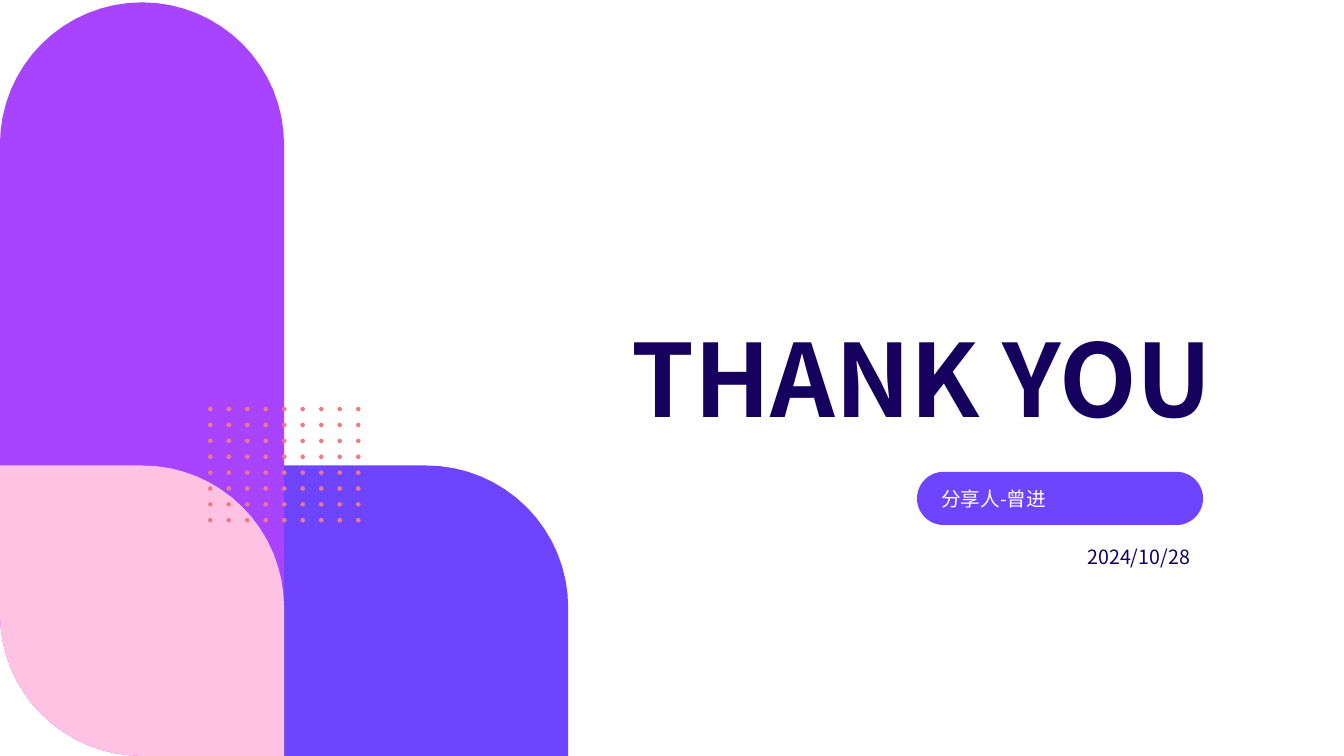
from dataclasses import dataclass
from math import cos, pi, sin

from lxml.etree import SubElement
from pptx import Presentation
from pptx.dml.color import RGBColor
from pptx.enum.shapes import MSO_SHAPE
from pptx.enum.text import MSO_ANCHOR, PP_ALIGN
from pptx.oxml.ns import qn
from pptx.util import Cm, Pt


@dataclass(frozen=True)
class Theme:
    font: str = "Noto Sans CJK SC"
    purple: str = "A844FF"
    blue: str = "6E44FF"
    pink: str = "FFC2E2"
    coral: str = "EF7A85"
    navy: str = "15005E"
    white: str = "FFFFFF"
    title: int = 72
    body: int = 14


def arc(cx, cy, radius, start, step, count):
    angles = [start + step * i for i in range(count)]
    return [(cx + radius * cos(a), cy + radius * sin(a)) for a in angles]


class SlideBuilder:
    def __init__(self, s, theme):
        self.s = s
        self.theme = theme

    def paint(self, sp, color):
        sp.shadow.inherit = False
        sp.fill.solid()
        sp.fill.fore_color.rgb = RGBColor.from_string(color)
        sp.line.fill.background()

    def outline(self, contours, color):
        contours = [[(Cm(x), Cm(y)) for x, y in points] for points in contours]
        builder = self.s.shapes.build_freeform(*contours[0][0])
        for i, points in enumerate(contours):
            if i:
                builder.move_to(*points[0])
            builder.add_line_segments(points[1:], close=False)
        self.paint(builder.convert_to_shape(), color)

    def tile(self, x, y, w, h, rounded, color):
        r = w / 2
        corners = {
            "tl": (x, y, 1, 1),
            "tr": (x + w, y, -1, 1),
            "br": (x + w, y + h, -1, -1),
            "bl": (x, y + h, 1, -1),
        }
        points = []
        for i, (name, (px, py, dx, dy)) in enumerate(corners.items()):
            if name in rounded:
                points += arc(px + dx * r, py + dy * r, r, pi + i * pi / 2, pi / 32, 17)
            else:
                points.append((px, py))
        self.outline([points], color)

    def dots(self, x, y, w, h, columns, rows, radius, color):
        centres = [
            (x + w * c / (columns - 1), y + h * r / (rows - 1))
            for r in range(rows)
            for c in range(columns)
        ]
        self.outline([arc(cx, cy, radius, 0, pi / 3, 6) for cx, cy in centres], color)

    def pill(self, x, y, w, h, color):
        sp = self.s.shapes.add_shape(MSO_SHAPE.ROUNDED_RECTANGLE, Cm(x), Cm(y), Cm(w), Cm(h))
        sp.adjustments[0] = 0.5
        self.paint(sp, color)

    def text(self, x, y, w, h, text, size, color, align=PP_ALIGN.LEFT,
             anchor=MSO_ANCHOR.MIDDLE, bold=False):
        tf = self.s.shapes.add_textbox(Cm(x), Cm(y), Cm(w), Cm(h)).text_frame
        tf.word_wrap = True
        tf.vertical_anchor = anchor
        tf.margin_left = tf.margin_right = tf.margin_top = tf.margin_bottom = 0
        tf.text = text
        p = tf.paragraphs[0]
        p.alignment = align
        r = p.runs[0]
        r.font.size = Pt(size)
        r.font.bold = bold
        r.font.color.rgb = RGBColor.from_string(color)
        r.font.name = self.theme.font
        SubElement(r.font._element, qn("a:ea"), typeface=self.theme.font)


def main():
    prs = Presentation()
    prs.slide_width = Cm(33.87)
    prs.slide_height = Cm(19.05)
    t = Theme()
    b = SlideBuilder(prs.slides.add_slide(prs.slide_layouts[6]), t)

    tile_w, top, low_top, bottom = 7.16, 0.06, 11.73, 19.05
    b.tile(0, top, tile_w, bottom - top, ("tl", "tr", "bl"), t.purple)
    b.tile(tile_w, low_top, tile_w, bottom - low_top, ("tr",), t.blue)
    b.tile(0, low_top, tile_w, bottom - low_top, ("tr", "bl"), t.pink)
    b.dots(5.3, 10.31, 3.73, 2.8, 9, 8, 0.06, t.coral)

    b.pill(23.11, 11.89, 7.21, 1.34, t.blue)
    b.text(23.72, 12.14, 5.97, 0.84, "分享人-曾进", t.body, t.white)
    b.text(23.72, 13.61, 6.27, 0.84, "2024/10/28", t.body, t.navy, PP_ALIGN.RIGHT)
    b.text(12.85, 3.4, 17.7, 7.62, "THANK YOU", t.title, t.navy,
           PP_ALIGN.RIGHT, MSO_ANCHOR.BOTTOM, bold=True)

    prs.save("out.pptx")


if __name__ == "__main__":
    main()
